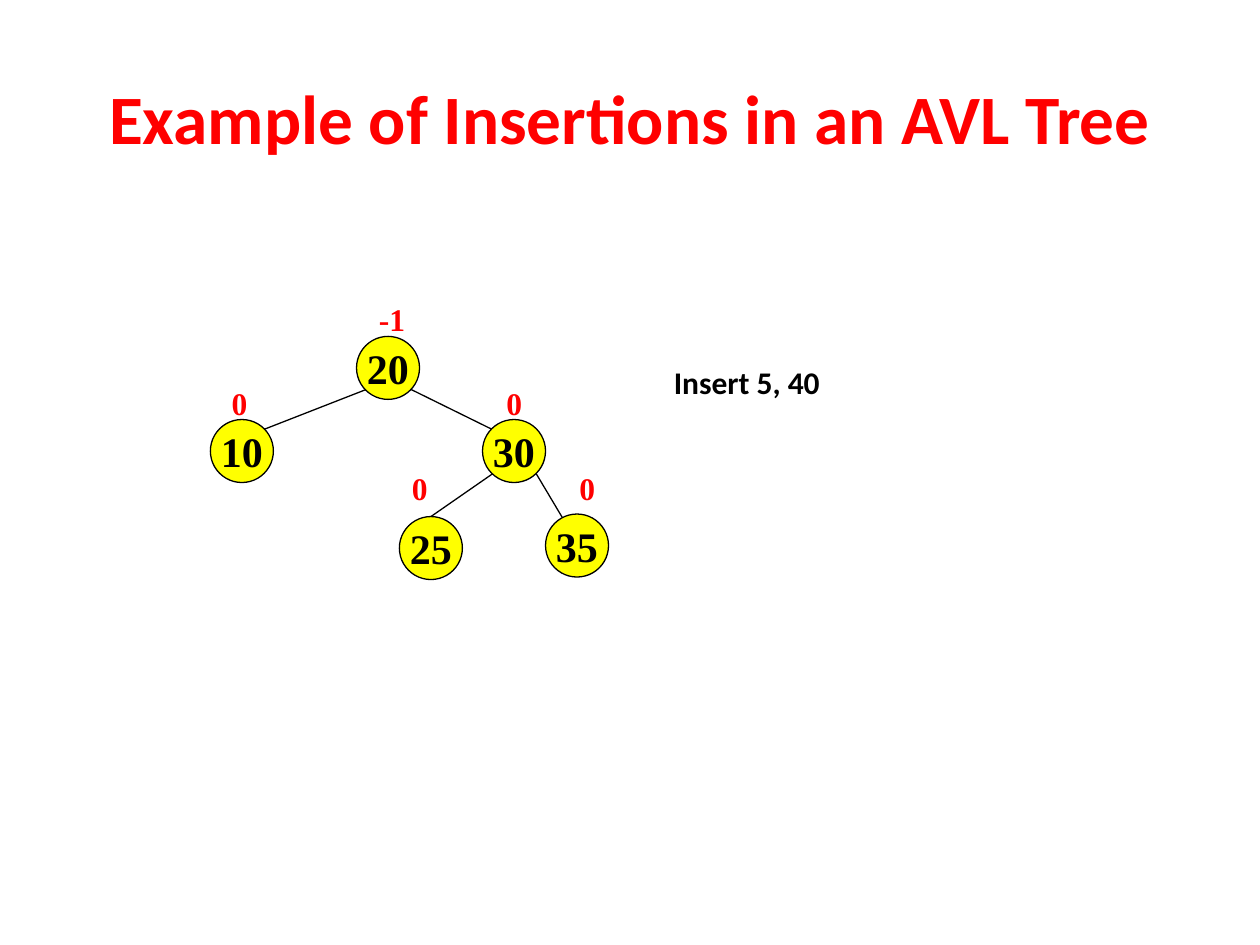
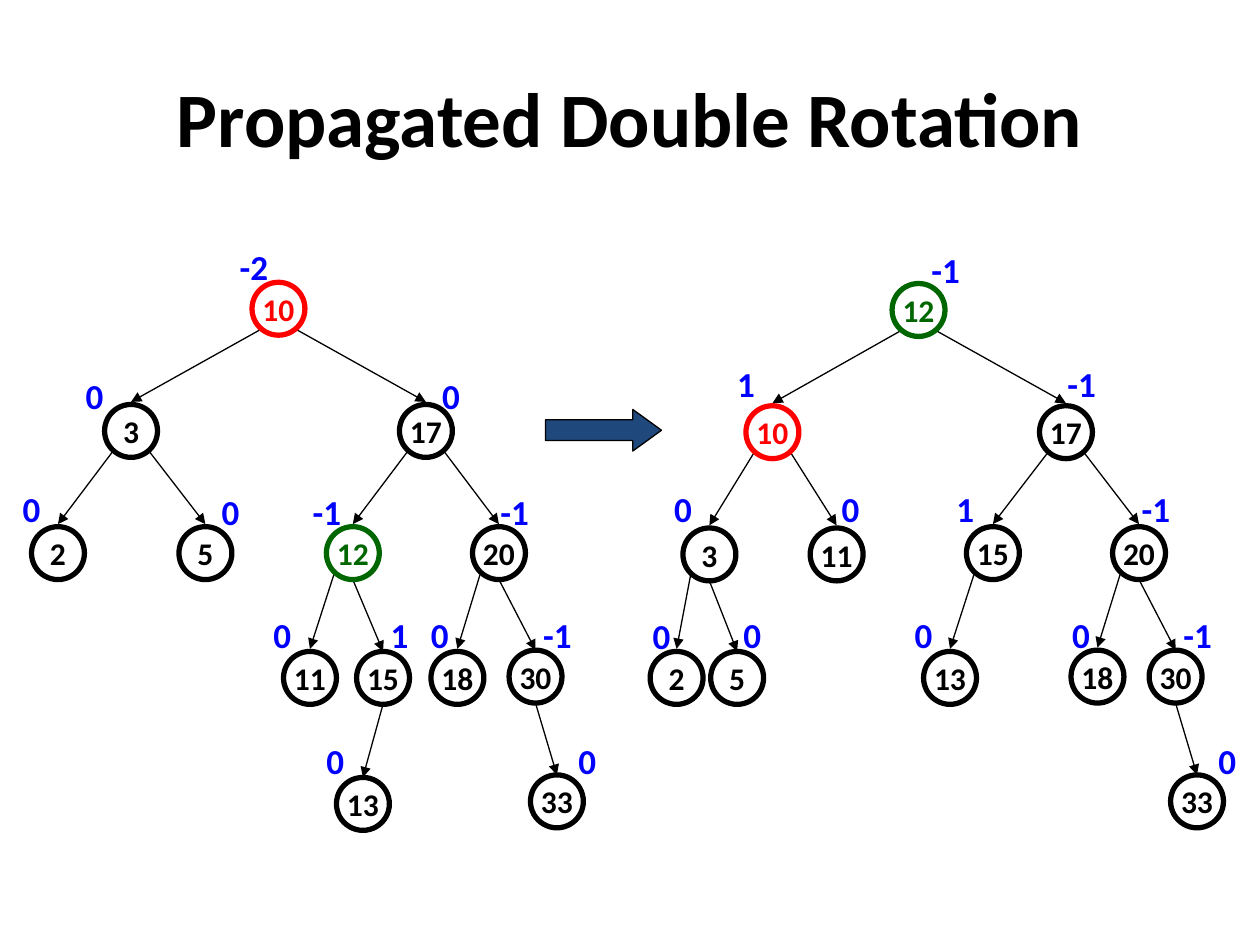
from dataclasses import dataclass
from typing import Optional

from lxml import etree
from pptx import Presentation
from pptx.dml.color import RGBColor
from pptx.enum.shapes import MSO_CONNECTOR, MSO_SHAPE
from pptx.enum.text import MSO_ANCHOR, MSO_AUTO_SIZE, PP_ALIGN
from pptx.oxml.ns import qn
from pptx.util import Pt

STRAIGHT = MSO_CONNECTOR.STRAIGHT
ELLIPSE = MSO_SHAPE.OVAL
RIGHT_ARROW = MSO_SHAPE.RIGHT_ARROW
MIDDLE = MSO_ANCHOR.MIDDLE
TOP = MSO_ANCHOR.TOP
FIXED = MSO_AUTO_SIZE.NONE
LEFT = PP_ALIGN.LEFT
CENTER = PP_ALIGN.CENTER

EMU_PER_PX = 9144
SLIDE_BOX = (0, 0, 1000, 750)
TITLE_BOX = (50, 30, 900, 125)
TITLE_ONLY = 5

BLACK = "000000"
RED = "FF0000"
GREEN = "006600"
BLUE = "0000FF"
NAVY = "1F497D"
YELLOW = "FFFF00"
SANS = "Calibri"
SERIF = "Times New Roman"


@dataclass
class TreeStyle:
    diameter: int
    font: str
    key_size: int
    fill: Optional[str]
    outline: float
    balance_size: int
    balance_color: str
    balance_align: PP_ALIGN
    balance_height: int
    arrows: bool


@dataclass
class Node:
    key: str
    left: int
    top: int
    balance: str
    balance_offset: tuple
    parent: Optional[str] = None
    leave: tuple = (0, 0)
    reach: tuple = (0, 0)
    color: str = BLACK


INSERTION_STYLE = TreeStyle(50, SERIF, 24, YELLOW, 0.75, 18, RED, LEFT, 40, False)
ROTATION_STYLE = TreeStyle(42, SANS, 18, None, 3, 20, BLUE, CENTER, 44, True)

LOWER_LEFT = {"leave": (6, 38), "reach": (21, -2)}
LOWER_RIGHT = {"leave": (36, 38), "reach": (21, -2)}
BOTTOM = {"leave": (21, 42), "reach": (21, 0)}

INSERTION_TREE = [
    Node("20", 133, 67, "-1", (8, -34)),
    Node("10", 17, 133, "0", (7, -33), "20", (8, 42), (42, 8)),
    Node("30", 233, 133, "0", (9, -33), "20", (43, 42), (8, 8)),
    Node("25", 167, 210, "0", (0, -43), "30", (8, 43), (25, 0)),
    Node("35", 283, 208, "0", (17, -41), "30", (42, 42), (17, 9)),
]

UNBALANCED_TREE = [
    Node("10", 200, 24, "-2", (-20, -34), color=RED),
    Node("3", 83, 121, "0", (-25, -29), "10", **LOWER_LEFT),
    Node("17", 317, 121, "0", (24, -29), "10", **LOWER_RIGHT),
    Node("2", 25, 218, "0", (-17, -36), "3", **LOWER_LEFT),
    Node("5", 142, 218, "0", (24, -34), "3", **LOWER_RIGHT),
    Node("12", 259, 218, "-1", (-21, -34), "17", **LOWER_LEFT, color=GREEN),
    Node("20", 375, 218, "-1", (12, -34), "17", **LOWER_RIGHT),
    Node("11", 225, 317, "0", (-18, -35), "12", **LOWER_LEFT),
    Node("15", 283, 317, "1", (17, -35), "12", **BOTTOM),
    Node("18", 342, 317, "0", (-10, -35), "20", **LOWER_LEFT),
    Node("30", 404, 316, "-1", (17, -34), "20", **BOTTOM),
    Node("13", 267, 417, "0", (-18, -35), "15", **BOTTOM),
    Node("33", 421, 415, "0", (28, -33), "30", **BOTTOM),
]

ROTATED_TREE = [
    Node("12", 208, 25, "-1", (21, -33), color=GREEN),
    Node("10", 92, 122, "1", (-17, -39), "12", **LOWER_LEFT, color=RED),
    Node("17", 325, 122, "-1", (12, -39), "12", **LOWER_RIGHT),
    Node("3", 42, 219, "0", (-17, -37), "10", **LOWER_LEFT),
    Node("11", 143, 219, "0", (15, -37), "10", **LOWER_RIGHT),
    Node("15", 267, 218, "1", (-18, -36), "17", **LOWER_LEFT),
    Node("20", 383, 218, "-1", (13, -36), "17", **LOWER_RIGHT),
    Node("2", 16, 317, "0", (-8, -34), "3", **LOWER_LEFT),
    Node("5", 64, 317, "0", (16, -35), "3", **BOTTOM),
    Node("13", 233, 317, "0", (-17, -35), "15", **LOWER_LEFT),
    Node("18", 350, 316, "0", (-9, -34), "20", **LOWER_LEFT),
    Node("30", 412, 316, "-1", (17, -34), "20", **BOTTOM),
    Node("33", 429, 415, "0", (28, -33), "30", **BOTTOM),
]


def px(*lengths):
    return [round(length * EMU_PER_PX) for length in lengths]


def rgb(color):
    return RGBColor.from_string(color)


def write(shape, text, font, size, color, align, anchor, wrap=False):
    frame = shape.text_frame
    frame.text = text
    frame.word_wrap = wrap
    frame.auto_size = FIXED
    frame.vertical_anchor = anchor
    paragraph = frame.paragraphs[0]
    paragraph.alignment = align
    style = paragraph.runs[0].font
    style.name = font
    style.size = Pt(size)
    style.bold = True
    style.color.rgb = rgb(color)


def add_figure(slide, preset, box, fill, outline, width):
    figure = slide.shapes.add_shape(preset, *px(*box))
    figure.shadow.inherit = False
    if fill:
        figure.fill.solid()
        figure.fill.fore_color.rgb = rgb(fill)
    else:
        figure.fill.background()
    figure.line.color.rgb = rgb(outline)
    figure.line.width = Pt(width)
    return figure


def add_label(slide, box, text, font, size, color, align, wrap=False):
    label = slide.shapes.add_textbox(*px(*box))
    write(label, text, font, size, color, align, TOP, wrap)


def add_edge(slide, start, end, arrow):
    edge = slide.shapes.add_connector(STRAIGHT, *px(*start, *end))
    edge.line.color.rgb = rgb(BLACK)
    edge.line.width = Pt(0.75)
    properties = edge._element.spPr
    if arrow:
        outline = properties.find(qn("a:ln"))
        etree.SubElement(outline, qn("a:tailEnd"), type="triangle")
    etree.SubElement(properties, qn("a:effectLst"))


def add_tree(slide, nodes, origin, style):
    def place(node, offset=(0, 0)):
        return (origin[0] + node.left + offset[0], origin[1] + node.top + offset[1])

    by_key = {node.key: node for node in nodes}
    for node in nodes:
        if node.parent:
            start = place(by_key[node.parent], node.leave)
            add_edge(slide, start, place(node, node.reach), style.arrows)
    for node in nodes:
        box = (*place(node), style.diameter, style.diameter)
        circle = add_figure(slide, ELLIPSE, box, style.fill, node.color, style.outline)
        write(circle, node.key, style.font, style.key_size, node.color, CENTER, MIDDLE)
    for node in nodes:
        width = 25 + 9 * len(node.balance)
        box = (*place(node, node.balance_offset), width, style.balance_height)
        add_label(slide, box, node.balance, style.font, style.balance_size,
                  style.balance_color, style.balance_align)


def add_titled_slide(deck, title, size, color):
    slide = deck.slides.add_slide(deck.slide_layouts[TITLE_ONLY])
    heading = slide.shapes.title
    heading.left, heading.top, heading.width, heading.height = px(*TITLE_BOX)
    write(heading, title, SANS, size, color, CENTER, MIDDLE, wrap=True)
    return slide


def build_insertion_slide(deck):
    slide = add_titled_slide(deck, "Example of Insertions in an AVL Tree", 39.6, RED)
    add_tree(slide, INSERTION_TREE, (150, 200), INSERTION_STYLE)
    add_label(slide, (525, 283, 233, 40), "Insert 5, 40", SANS, 18, BLACK, LEFT, wrap=True)


def build_rotation_slide(deck):
    slide = add_titled_slide(deck, "Propagated Double Rotation", 44, BLACK)
    add_tree(slide, UNBALANCED_TREE, (0, 200), ROTATION_STYLE)
    add_tree(slide, ROTATED_TREE, (500, 200), ROTATION_STYLE)
    rotation = add_figure(slide, RIGHT_ARROW, (433, 325, 92, 33), NAVY, BLACK, 0.75)
    rotation.adjustments[0] = 0.5
    rotation.adjustments[1] = 0.69


def main():
    deck = Presentation()
    deck.slide_width, deck.slide_height = px(*SLIDE_BOX[2:])
    build_insertion_slide(deck)
    build_rotation_slide(deck)
    deck.save("out.pptx")


if __name__ == "__main__":
    main()
